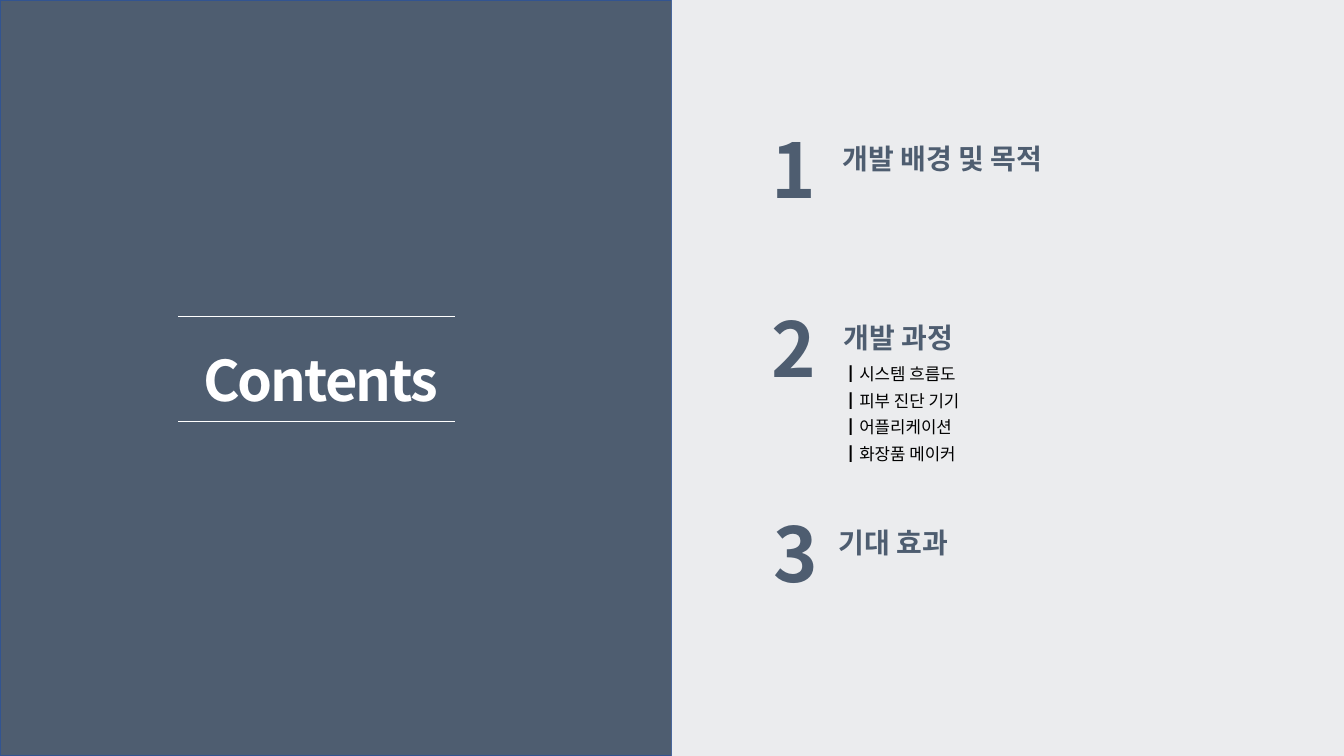
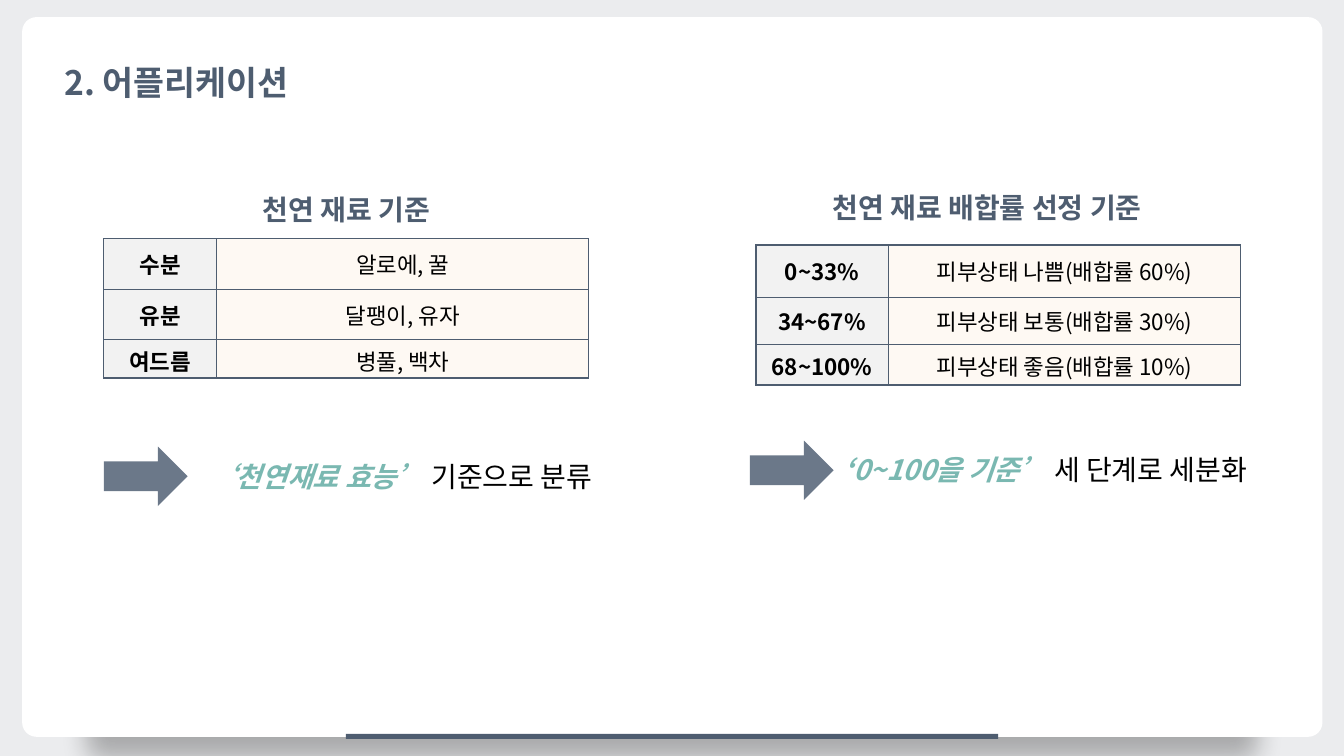
import pptx
import pptx.util
import pptx.dml.color
import pptx.enum.shapes
import pptx.enum.text
import pptx.oxml
import pptx.oxml.ns


class Theme:
    font = "Noto Sans CJK KR"
    slate, steel, teal = "4E5D70", "6B7889", "7AB8B1"
    pale, white, black = "EBECEE", "FFFFFF", "000000"
    edge, label, cream = "325491", "F2F2F2", "FEF9F3"
    cover, digit, title, head, cell, item = 40, 54, 24, 20, 16, 12


Pt = pptx.util.Pt
rgb = pptx.dml.color.RGBColor.from_string
kinds = pptx.enum.shapes.MSO_SHAPE
xmlns = pptx.oxml.ns.nsdecls("a")

deck = pptx.Presentation()
deck.slide_width = pptx.util.Inches(13.33)
deck.slide_height = pptx.util.Inches(7.5)


def at(*shares):
    """Turn percentages of slide width and height, in turn, into lengths."""
    sides = deck.slide_width, deck.slide_height
    return [int(share * sides[i % 2] / 100) for i, share in enumerate(shares)]


def text(frame, runs, size=Theme.head, color=Theme.slate, bold=True,
         italic=False, center=False, lead=None, track=None):
    """Fill a frame; each run is (words, own format) or a plain string."""
    frame.word_wrap = True
    para = frame.paragraphs[0]
    para.line_spacing = lead
    if center:
        para.alignment = pptx.enum.text.PP_ALIGN.CENTER
    for words, own in [(runs, {})] if isinstance(runs, str) else runs:
        look = dict(size=size, color=color, bold=bold, italic=italic) | own
        run = para.add_run()
        run.text = words
        run.font.name = Theme.font
        run.font.size = Pt(look["size"])
        run.font.bold = look["bold"]
        run.font.italic = look["italic"]
        run.font.color.rgb = rgb(look["color"])
        props = run.font._element
        props.append(pptx.oxml.parse_xml(
            f'<a:ea {xmlns} typeface="{Theme.font}"/>'))
        if track:
            props.set("spc", str(int(track * 100)))


first, second = [deck.slides.add_slide(deck.slide_layouts[6]) for _ in range(2)]
second.background.fill.solid()
second.background.fill.fore_color.rgb = rgb(Theme.pale)

# Panels, card, foot bar and arrows
for page, kind, spot, fill, edge in [
    (first, kinds.RECTANGLE, (0, 0, 50, 100), Theme.slate, Theme.edge),
    (first, kinds.RECTANGLE, (50, 0, 50, 100), Theme.pale, None),
    (second, kinds.ROUNDED_RECTANGLE, (1.65, 2.27, 96.75, 95.2), Theme.white, None),
    (second, kinds.RECTANGLE, (25.73, 97.07, 48.53, 0.67), Theme.slate, None),
    (second, kinds.RIGHT_ARROW, (7.73, 59.07, 6.23, 7.87), Theme.steel, None),
    (second, kinds.RIGHT_ARROW, (55.8, 58.27, 6.23, 7.87), Theme.steel, None),
]:
    block = page.shapes.add_shape(kind, *at(*spot))
    block.shadow.inherit = False
    block.fill.solid()
    block.fill.fore_color.rgb = rgb(fill)
    if edge:
        block.line.color.rgb = rgb(edge)
        block.line.width = Pt(1)
    else:
        block.line.fill.background()
    if kind == kinds.ROUNDED_RECTANGLE:
        block.adjustments[0] = 0.02
        glow = block._element.spPr.find(pptx.oxml.ns.qn("a:effectLst"))
        glow.append(pptx.oxml.parse_xml(
            f'<a:outerShdw {xmlns} blurRad="{Pt(19)}" dist="{Pt(55)}" '
            f'dir="5400000" sx="90000" sy="85000" algn="ctr" rotWithShape="0">'
            f'<a:srgbClr val="{Theme.black}"><a:alpha val="27000"/></a:srgbClr>'
            f'</a:outerShdw>'))

# Contents title between two rules
box = first.shapes.add_textbox(*at(14.4, 40.67, 20, 13.07))
text(box.text_frame, "Contents", size=Theme.cover, color=Theme.white,
     lead=1.5, track=-1.5)
for y in (41.87, 55.73):
    rule = first.shapes.add_connector(
        pptx.enum.shapes.MSO_CONNECTOR.STRAIGHT, *at(13.28, y, 33.83, y))
    rule.line.color.rgb = rgb(Theme.white)
    rule.line.width = Pt(0.5)
    rule._element.spPr.append(pptx.oxml.parse_xml(f"<a:effectLst {xmlns}/>"))

# Numbered chapters
for num, (name, x, left, y) in enumerate([
    ("개발 배경 및 목적", 56.63, 61.95, 15.6),
    ("개발 과정", 56.63, 62.03, 39.33),
    ("기대 효과", 56.78, 61.65, 66.4),
], 1):
    box = first.shapes.add_textbox(*at(x, y, 6.3, 13.47))
    text(box.text_frame, str(num), size=Theme.digit)
    box = first.shapes.add_textbox(*at(left, y + 2.4, 19.1, 5.87))
    text(box.text_frame, name)

# Parts of the second chapter
for row, name in enumerate(
        ["시스템 흐름도", "피부 진단 기기", "어플리케이션", "화장품 메이커"]):
    box = first.shapes.add_textbox(*at(61.95, 47.5 + 3.5 * row, 13, 4))
    text(box.text_frame, "┃" + name, size=Theme.item, color=Theme.black,
         bold=False)

# Title and table headings
for name, spot, size in [
    ("2. 어플리케이션", (4.05, 4.93, 42.83, 8.4), Theme.title),
    ("천연 재료 기준", (18.83, 22.53, 19.28, 7.2), Theme.head),
    ("천연 재료 배합률 선정 기준", (61.2, 22.27, 28.88, 7.2), Theme.head),
]:
    box = second.shapes.add_textbox(*at(*spot))
    text(box.text_frame, name, size=size, lead=1.5)

# Tables of criteria
for x, y, cols, rows, data in [
    (7.73, 31.6, (8.4, 27.68), (6.67, 6.67, 5.07),
     [("수분", "알로에, 꿀"), ("유분", "달팽이, 유자"), ("여드름", "병풀, 백차")]),
    (56.25, 32.4, (9.83, 26.25), (6.93, 6.27, 5.33),
     [("0~33%", "피부상태 나쁨(배합률 60%)"),
      ("34~67%", "피부상태 보통(배합률 30%)"),
      ("68~100%", "피부상태 좋음(배합률 10%)")]),
]:
    grid = second.shapes.add_table(
        len(rows), len(cols), *at(x, y, sum(cols), sum(rows))).table
    grid.first_row = grid.horz_banding = False
    for col, wide in zip(grid.columns, cols):
        col.width = at(wide)[0]
    for r, (row, tall) in enumerate(zip(grid.rows, rows)):
        row.height = at(0, tall)[1]
        for c, cell in enumerate(row.cells):
            text(cell.text_frame, data[r][c], size=Theme.cell,
                 color=Theme.black, bold=c == 0, center=True)
            cell.vertical_anchor = pptx.enum.text.MSO_ANCHOR.MIDDLE
            props = cell._tc.get_or_add_tcPr()
            for side in ("lnL", "lnR", "lnT", "lnB"):
                props.append(pptx.oxml.parse_xml(
                    f'<a:{side} {xmlns} w="{Pt(1)}"><a:solidFill>'
                    f'<a:srgbClr val="{Theme.slate}"/></a:solidFill></a:{side}>'))
            cell.fill.solid()
            cell.fill.fore_color.rgb = rgb(Theme.cream if c else Theme.label)

# Conclusions beside the arrows
plain = dict(color=Theme.black, bold=False, italic=False)
for spot, runs in [
    ((14.7, 60.13, 31.5, 6),
     [("‘천연재료 효능’ ", {}), ("기준으로 분류", plain)]),
    ((62.03, 59.07, 34.05, 6),
     [("‘", dict(size=21)), ("0~100을 기준’", {}), (" 세 단계로 세분화", plain)]),
]:
    box = second.shapes.add_textbox(*at(*spot))
    text(box.text_frame, runs, color=Theme.teal, italic=True)

deck.save("out.pptx")
